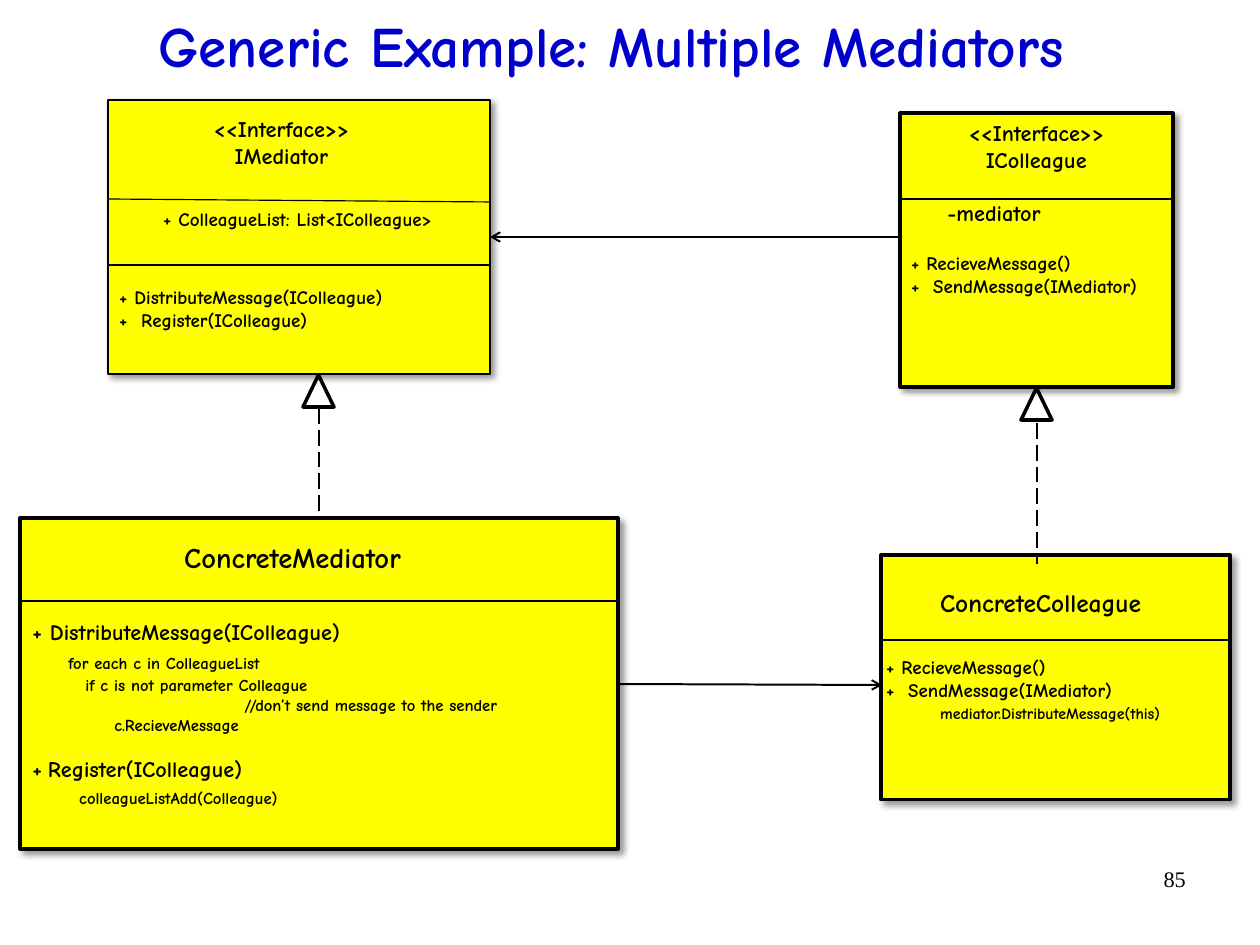
from dataclasses import dataclass

from lxml.etree import SubElement
from pptx import Presentation
from pptx.dml.color import RGBColor
from pptx.enum.dml import MSO_LINE
from pptx.enum.shapes import MSO_CONNECTOR as Connector, MSO_SHAPE as Shape
from pptx.enum.text import MSO_ANCHOR as Anchor, PP_ALIGN as Align
from pptx.oxml.ns import qn
from pptx.util import Pt

PX = 8000  # 45 px to the centimetre
COLORS = {"ink": "000000", "class": "FFFF00", "title": "0000CC", "page": "FFFFFF"}
BODY_FONT = "Comic Neue"
NUMBER_FONT = "Times New Roman"


@dataclass
class Line:
    """One paragraph: spans are (text, size) pairs, lengths are px, spacing is points."""
    spans: list
    indent: int = 0
    before: float = 0
    after: float = 0
    tab: int = 0


def plain(size, *texts):
    return [Line([(text, size)]) for text in texts]


def operations(first, second):
    return [Line([("+ " + first, 12)]), Line([("+\t" + second, 12)], tab=22)]


class Diagram:
    def __init__(self, page):
        self.page = page
        self.font = BODY_FONT

    def color(self, name):
        return RGBColor.from_string(COLORS[name])

    def stroke(self, line, width):
        line.color.rgb = self.color("ink")
        line.width = Pt(width)

    def shape(self, kind, x, y, w, h, width):
        shape = self.page.shapes.add_shape(kind, x * PX, y * PX, w * PX, h * PX)
        shape.shadow.inherit = False
        shape.fill.background()
        self.stroke(shape.line, width)
        return shape

    def class_box(self, x, y, w, h, width):
        box = self.shape(Shape.RECTANGLE, x, y, w, h, width)
        box.fill.solid()
        box.fill.fore_color.rgb = self.color("class")
        effects = box._element.spPr.find(qn("a:effectLst"))
        shadow = SubElement(effects, qn("a:outerShdw"), blurRad=str(Pt(4)),
                            dist=str(Pt(3)), dir="2700000", algn="tl", rotWithShape="0")
        shade = SubElement(shadow, qn("a:srgbClr"), val=COLORS["ink"])
        SubElement(shade, qn("a:alpha"), val="40000")

    def line(self, x1, y1, x2, y2, width=0.75, arrow=False, dashed=False):
        line = self.page.shapes.add_connector(
            Connector.STRAIGHT, x1 * PX, y1 * PX, x2 * PX, y2 * PX)
        self.stroke(line.line, width)
        if dashed:
            line.line.dash_style = MSO_LINE.LONG_DASH
        if arrow:
            SubElement(line.line._get_or_add_ln(), qn("a:tailEnd"), type="arrow")
        SubElement(line._element.spPr, qn("a:effectLst"))

    def realization(self, x, y, start, end):
        self.shape(Shape.ISOSCELES_TRIANGLE, x - 16, y, 31, 32, 2.25)
        self.line(x, start, x, end, 1.25, dashed=True)

    def text(self, x, y, w, h, lines, align=Align.LEFT, font=None, color="ink", bold=True):
        box = self.page.shapes.add_textbox(x * PX, y * PX, w * PX, h * PX)
        frame = box.text_frame
        frame.word_wrap = True
        for number, line in enumerate(lines):
            para = frame.add_paragraph() if number else frame.paragraphs[0]
            properties = para._p.get_or_add_pPr()
            if line.indent:
                properties.set("marL", str(line.indent * PX))
                properties.set("indent", "0")
            if line.tab:
                tabs = SubElement(properties, qn("a:tabLst"))
                SubElement(tabs, qn("a:tab"), pos=str(line.tab * PX), algn="l")
            para.alignment = align
            para.space_before = Pt(line.before)
            para.space_after = Pt(line.after)
            for text, size in line.spans:
                span = para.add_run()
                span.text = text
                span.font.name = font or self.font
                span.font.size = Pt(size)
                span.font.bold = bold
                span.font.color.rgb = self.color(color)
        return frame

    def title(self, x, y, w, h, text):
        frame = self.text(x, y, w, h, plain(36, text), Align.CENTER, color="title")
        frame.vertical_anchor = Anchor.MIDDLE
        frame.margin_left = frame.margin_right = frame.margin_top = frame.margin_bottom = 0
        frame.paragraphs[0].line_spacing = 0.88


def main():
    deck = Presentation()
    deck.slide_width, deck.slide_height = 1260 * PX, 945 * PX
    page = deck.slides.add_slide(deck.slide_layouts[6])
    diagram = Diagram(page)
    page.background.fill.solid()
    page.background.fill.fore_color.rgb = diagram.color("page")

    # Class boxes
    for box in [(108, 100, 382, 274, 1.25), (900, 113, 273, 274, 2),
                (20, 518, 598, 331, 2), (881, 555, 349, 245, 2)]:
        diagram.class_box(*box)

    # Compartment dividers
    for divider in [(490, 202, 108, 199), (490, 265, 108, 265), (20, 601, 618, 601),
                    (900, 199, 1173, 199), (882, 640, 1230, 640)]:
        diagram.line(*divider)

    # Class names
    for x, y, w, h, lines in [
        (169, 110, 225, 65, plain(14, "<<Interface>>", "IMediator")),
        (924, 114, 225, 65, plain(14, "<<Interface>>", "IColleague")),
        (147, 534, 291, 46, plain(18, "ConcreteMediator")),
        (904, 581, 273, 42, plain(16, "ConcreteColleague")),
    ]:
        diagram.text(x, y, w, h, lines, Align.CENTER)

    # Attributes
    diagram.text(152, 202, 314, 57, plain(12, "+ ColleagueList: List<IColleague>"))
    diagram.text(936, 194, 157, 39, plain(14, "-mediator"))

    # Operations
    receive_send = operations("RecieveMessage()", "SendMessage(IMediator)")
    diagram.text(108, 280, 422, 57,
                 operations("DistributeMessage(IColleague)", "Register(IColleague)"))
    diagram.text(900, 246, 296, 57, receive_send)
    diagram.text(875, 650, 354, 81, receive_send + [
        Line([("mediator.DistributeMessage(this)", 10)], indent=54, before=1.5)])
    diagram.text(21, 613, 598, 234, [
        Line([("+ DistributeMessage(IColleague)", 14)]),
        Line([("for each c in ColleagueList", 10.5)], indent=36, before=5, after=1),
        Line([("if c is not parameter Colleague", 10.5)], indent=53),
        Line([("//don’t send message to the sender", 10.5)], indent=212),
        Line([("c.RecieveMessage", 10.5)], indent=82),
        Line([("+", 14), (" ", 10.5), ("Register(IColleague)", 14)], before=13),
        Line([("colleagueListAdd(Colleague)", 10.5)], indent=47, before=3.5),
    ])

    # Associations and realizations
    diagram.line(900, 237, 490, 237, 1.25, arrow=True)
    diagram.line(618, 684, 882, 685, 1.25, arrow=True)
    diagram.realization(319, 375, 408, 518)
    diagram.realization(1037, 388, 423, 564)

    # Title and page number
    diagram.title(-8, 6, 1238, 86, "Generic Example: Multiple Mediators")
    diagram.text(903, 860, 294, 65, plain(14, "85"), Align.RIGHT, NUMBER_FONT, bold=False)

    deck.save("out.pptx")


if __name__ == "__main__":
    main()
